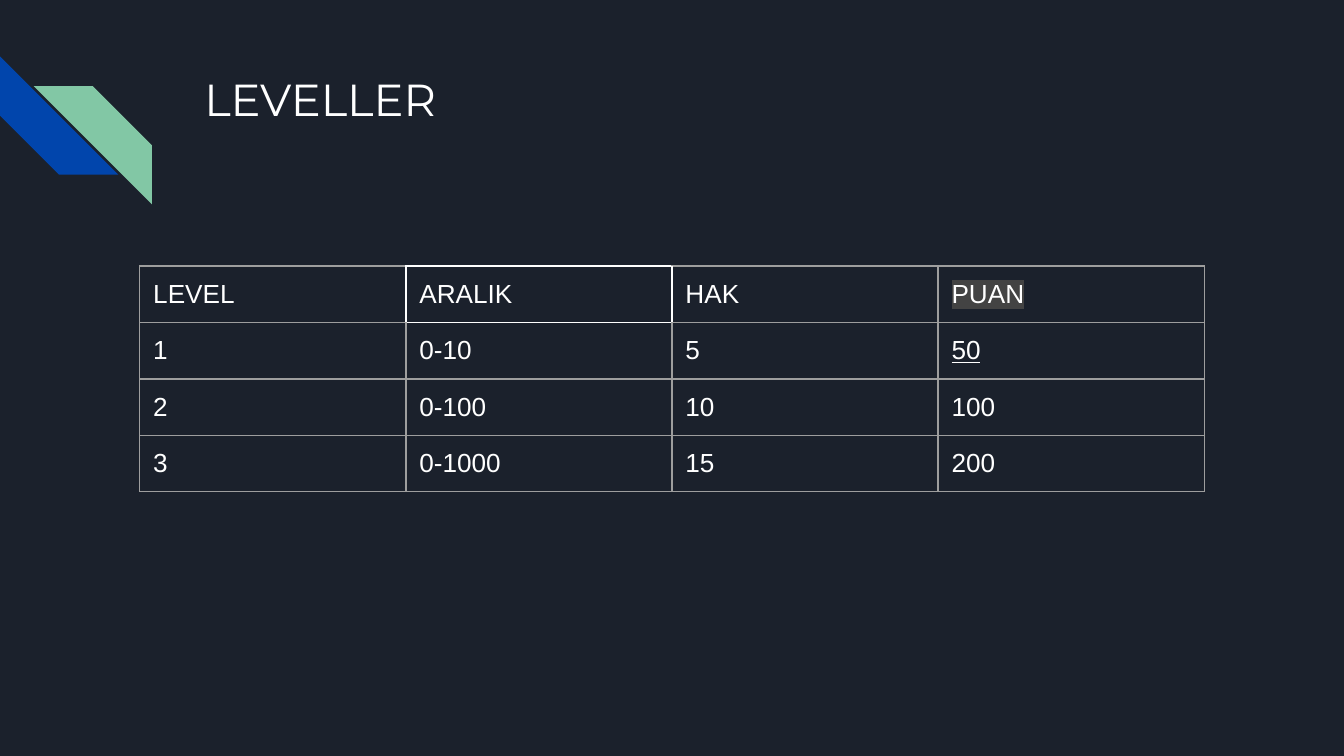
from dataclasses import dataclass

from lxml.etree import SubElement
from pptx import Presentation
from pptx.dml.color import RGBColor
from pptx.enum.shapes import MSO_SHAPE as Shape
from pptx.enum.text import MSO_ANCHOR as Anchor, PP_ALIGN as Align
from pptx.oxml import parse_xml
from pptx.oxml.ns import nsdecls, qn
from pptx.util import Inches, Pt

COLORS = {
    "background": "1B212C",
    "blue": "0145AC",
    "green": "82C7A5",
    "text": "FFFFFF",
    "grid": "9E9E9E",
    "accent": "FFFFFF",
    "highlight": "434343",
}
ROWS = [
    ["LEVEL", "ARALIK", "HAK", "PUAN"],
    ["1", "0-10", "5", "50"],
    ["2", "0-100", "10", "100"],
    ["3", "0-1000", "15", "200"],
]
ACCENT_CELL = (0, 1)
HIGHLIGHTED = "PUAN"
UNDERLINED = "50"
COLUMN_WIDTH, ROW_HEIGHT = 1.98, 0.42
SIDES = {"L": (0, -1), "R": (0, 1), "T": (-1, 0), "B": (1, 0)}


@dataclass
class Stripe:
    left: float
    top: float
    rotation: int
    color: str
    size: float = 0.88


STRIPES = [Stripe(0, 0.42, 270, "blue"), Stripe(0.25, 0.64, 90, "green")]


def rgb(name: str) -> RGBColor:
    return RGBColor.from_string(COLORS[name])


def draw_stripe(page, stripe: Stripe) -> None:
    size = Inches(stripe.size)
    shape = page.shapes.add_shape(
        Shape.DIAGONAL_STRIPE, Inches(stripe.left), Inches(stripe.top), size, size)
    shape.rotation = stripe.rotation
    shape.shadow.inherit = False
    shape.fill.solid()
    shape.fill.fore_color.rgb = rgb(stripe.color)
    shape.line.fill.background()


def add_span(para, text: str, font: str, size: int):
    span = para.add_run()
    span.text = text
    span.font.name = font
    span.font.size = Pt(size)
    span.font.color.rgb = rgb("text")
    return span


def set_margins(box) -> None:
    box.margin_left = box.margin_right = Inches(0.1)
    box.margin_top = box.margin_bottom = Inches(0.1)


def draw_title(page, text: str) -> None:
    title = page.shapes.title
    title.left, title.top = Inches(1.42), Inches(0.43)
    title.width, title.height = Inches(7.7), Inches(1)
    frame = title.text_frame
    frame.word_wrap = True
    frame.vertical_anchor = Anchor.TOP
    set_margins(frame)
    para = frame.paragraphs[0]
    para.alignment = Align.LEFT
    add_span(para, text, "Montserrat", 24)


def set_highlight(span, color: str) -> None:
    fill = span.font._element.find(qn("a:solidFill"))
    fill.addnext(parse_xml(
        f'<a:highlight {nsdecls("a")}><a:srgbClr val="{COLORS[color]}"/></a:highlight>'))


def set_borders(cell, row: int, column: int) -> None:
    """Edges of the accent cell take its colour on both sides."""
    properties = cell._tc.get_or_add_tcPr()
    for index, (side, (down, right)) in enumerate(SIDES.items()):
        touching = ((row, column), (row + down, column + right))
        color = "accent" if ACCENT_CELL in touching else "grid"
        line = parse_xml(f'<a:ln{side} {nsdecls("a")} w="{Pt(0.75)}"/>')
        fill = SubElement(line, qn("a:solidFill"))
        SubElement(fill, qn("a:srgbClr"), val=COLORS[color])
        properties.insert(index, line)


def draw_table(page) -> None:
    row_count, column_count = len(ROWS), len(ROWS[0])
    table = page.shapes.add_table(
        row_count, column_count, Inches(1.04), Inches(1.98),
        Inches(COLUMN_WIDTH * column_count), Inches(ROW_HEIGHT * row_count)).table
    table.first_row = table.horz_banding = False
    for column in table.columns:
        column.width = Inches(COLUMN_WIDTH)
    for row_index, values in enumerate(ROWS):
        table.rows[row_index].height = Inches(ROW_HEIGHT)
        for column_index, value in enumerate(values):
            cell = table.cell(row_index, column_index)
            cell.fill.background()
            set_margins(cell)
            set_borders(cell, row_index, column_index)
            span = add_span(cell.text_frame.paragraphs[0], value, "Arial", 14)
            if value == HIGHLIGHTED:
                set_highlight(span, "highlight")
            if value == UNDERLINED:
                span.font.underline = True


def main() -> None:
    deck = Presentation()
    deck.slide_width = Inches(10)
    deck.slide_height = deck.slide_width * 9 // 16
    page = deck.slides.add_slide(deck.slide_layouts[5])
    page.background.fill.solid()
    page.background.fill.fore_color.rgb = rgb("background")
    for stripe in STRIPES:
        draw_stripe(page, stripe)
    draw_title(page, "LEVELLER")
    draw_table(page)
    deck.save("out.pptx")


if __name__ == "__main__":
    main()
